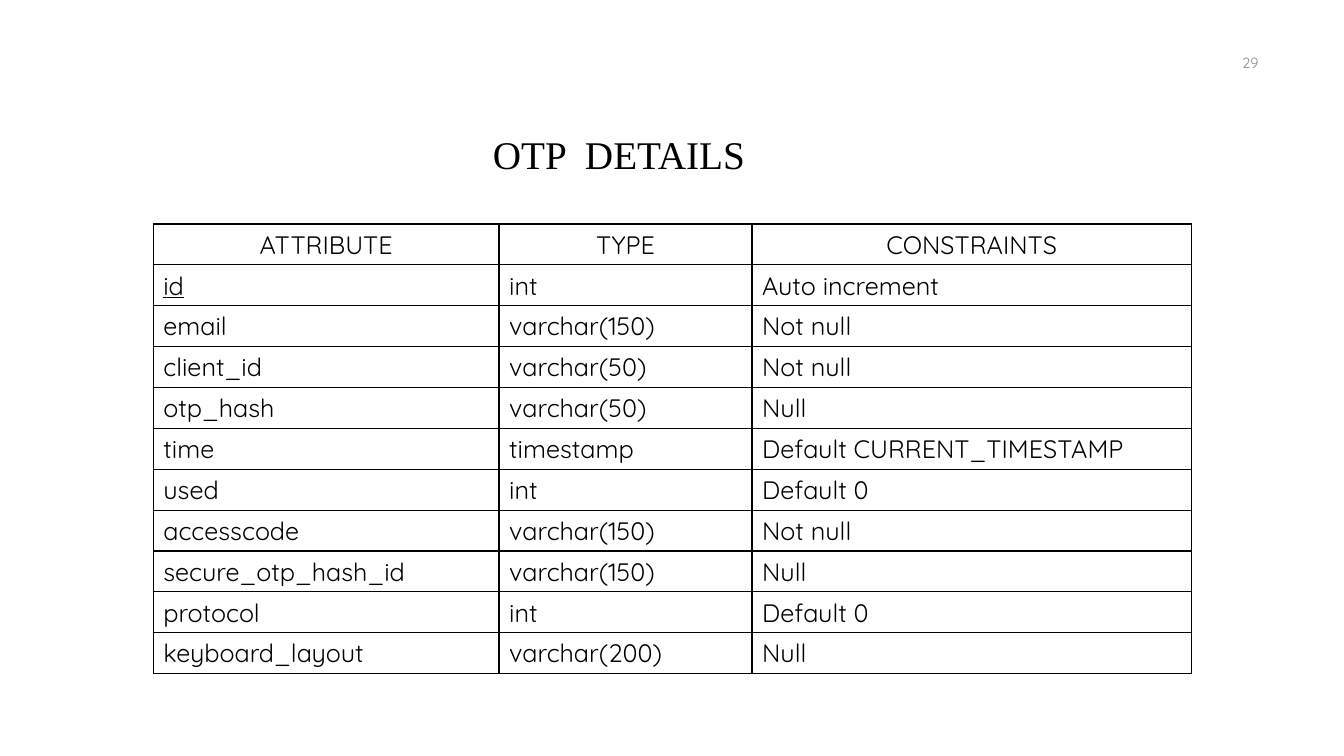
"""Build the OTP details slide with its table of attributes."""
import pptx
import pptx.dml.color
import pptx.enum.text
import pptx.oxml
import pptx.oxml.ns
import pptx.util

Pt = pptx.util.Pt
Align = pptx.enum.text.PP_ALIGN
Anchor = pptx.enum.text.MSO_ANCHOR
BLACK = pptx.dml.color.RGBColor(0x00, 0x00, 0x00)
GREY = pptx.dml.color.RGBColor(0x8C, 0x8C, 0x8C)

COLUMN_WIDTHS = (247, 180.7, 313.9)
ROW_HEIGHT = 29.2
ATTRIBUTES = (
    ("ATTRIBUTE", "TYPE", "CONSTRAINTS"),
    ("id", "int", "Auto increment"),
    ("email", "varchar(150)", "Not null"),
    ("client_id", "varchar(50)", "Not null"),
    ("otp_hash", "varchar(50)", "Null"),
    ("time", "timestamp", "Default CURRENT_TIMESTAMP"),
    ("used", "int", "Default 0"),
    ("accesscode", "varchar(150)", "Not null"),
    ("secure_otp_hash_id", "varchar(150)", "Null"),
    ("protocol", "int", "Default 0"),
    ("keyboard_layout", "varchar(200)", "Null"),
)


class SlideBuilder:
    body_font = "Quicksand"
    title_font = "Times New Roman"
    border_width = 1

    def __init__(self, page):
        self.page = page

    def paragraph(self, frame, text, size, font, color, align):
        para = frame.paragraphs[0]
        para.text = text
        para.alignment = align
        para.font.size = Pt(size)
        para.font.name = font
        para.font.color.rgb = color

    def text(self, left, top, width, height, text, size, font, color,
             align=Align.LEFT, anchor=Anchor.TOP):
        box = self.page.shapes.add_textbox(Pt(left), Pt(top), Pt(width), Pt(height))
        box.text_frame.word_wrap = True
        box.text_frame.vertical_anchor = anchor
        self.paragraph(box.text_frame, text, size, font, color, align)

    def border(self, cell):
        properties = cell._tc.get_or_add_tcPr()
        for side in ("lnL", "lnR", "lnT", "lnB"):
            properties.append(pptx.oxml.parse_xml(
                f'<a:{side} {pptx.oxml.ns.nsdecls("a")} w="{Pt(self.border_width)}">'
                f'<a:solidFill><a:srgbClr val="{BLACK}"/></a:solidFill></a:{side}>'))

    def table(self, left, top, widths, row_height, rows, size):
        frame = self.page.shapes.add_table(
            len(rows), len(widths), Pt(left), Pt(top),
            Pt(sum(widths)), Pt(row_height * len(rows)))
        table = frame.table
        table.first_row = False
        table.horz_banding = False
        for column, width in zip(table.columns, widths):
            column.width = Pt(width)
        for row_index, values in enumerate(rows):
            table.rows[row_index].height = Pt(row_height)
            align = Align.LEFT if row_index else Align.CENTER
            for column_index, value in enumerate(values):
                cell = table.cell(row_index, column_index)
                self.border(cell)
                cell.fill.background()
                self.paragraph(cell.text_frame, value, size, self.body_font, BLACK, align)
        return table


def main():
    deck = pptx.Presentation()
    deck.slide_width, deck.slide_height = Pt(960), Pt(540)
    builder = SlideBuilder(deck.slides.add_slide(deck.slide_layouts[6]))
    builder.text(345, 89.3, 306, 41, "OTP  DETAILS", 28, builder.title_font, BLACK)
    table = builder.table(109.5, 160, COLUMN_WIDTHS, ROW_HEIGHT, ATTRIBUTES, 18)
    primary_key = table.cell(1, 0).text_frame.paragraphs[0]
    primary_key.font.underline = True
    builder.text(690, 30, 216, 29, "29", 10.5, builder.body_font, GREY,
                 Align.RIGHT, Anchor.MIDDLE)
    deck.save("out.pptx")


if __name__ == "__main__":
    main()
